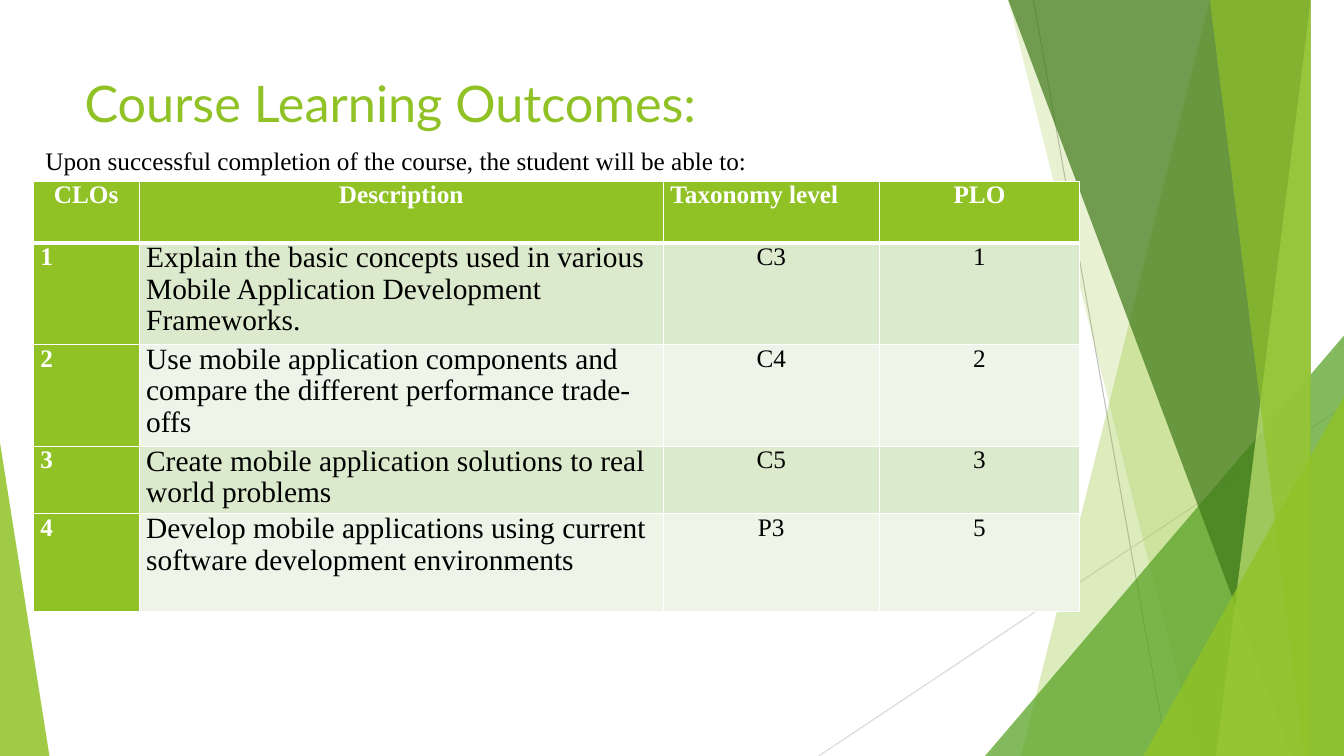
from lxml import etree
from pptx import Presentation, util as u
from pptx.dml.color import RGBColor
from pptx.enum import shapes, text
from pptx.oxml import ns

GREEN, WHITE, BLACK = "90C226", "FFFFFF", "000000"
SERIF = "Times New Roman"
ROWS = [
    ("CLOs", "Description", "Taxonomy level", "PLO"),
    ("1", "Explain the basic concepts used in various Mobile Application "
          "Development Frameworks.", "C3", "1"),
    ("2", "Use mobile application components and compare the different "
          "performance trade-offs", "C4", "2"),
    ("3", "Create mobile application solutions to real world problems", "C5", "3"),
    ("4", "Develop mobile applications using current software development "
          "environments", "P3", "5"),
]


def rgb(code):
    """Turn a hex string into a colour."""
    return RGBColor.from_string(code)


def paint(shape, color, alpha):
    """Give a shape a see-through fill with no line or shadow."""
    shape.shadow.inherit = False
    shape.fill.solid()
    shape.fill.fore_color.rgb = rgb(color)
    shape.line.fill.background()
    node = shape.fill._xPr.find(".//" + ns.qn("a:srgbClr"))
    etree.SubElement(node, ns.qn("a:alpha"), val=str(alpha * 1000))


def style(para, font, size, color, bold=False):
    """Set the font of a paragraph."""
    para.font.name = font
    para.font.size = u.Pt(size)
    para.font.color.rgb = rgb(color)
    para.font.bold = bold


def ray(slide, start, end, color):
    """Draw a thin background line."""
    line = slide.shapes.add_connector(
        shapes.MSO_CONNECTOR.STRAIGHT, *[u.Inches(n) for n in start + end])
    line.line.color.rgb = rgb(color)
    line.line.width = u.Pt(0.75)
    etree.SubElement(line._element.spPr, ns.qn("a:effectLst"))


def shard(slide, box, top, foot, color, alpha):
    """Draw a band from two left corners to the right side of a box."""
    left, head, wide, high = box
    right, base = left + wide, head + high
    form = slide.shapes.build_freeform(top, head, scale=u.Inches(1))
    form.add_line_segments([(right, head), (right, base), (foot, base)])
    paint(form.convert_to_shape(), color, alpha)


def wedge(slide, box, apex, color, alpha):
    """Draw a triangle whose apex sits at a share of its width."""
    shape = slide.shapes.add_shape(
        shapes.MSO_SHAPE.ISOSCELES_TRIANGLE, *[u.Inches(n) for n in box])
    shape.adjustments[0] = apex
    paint(shape, color, alpha)


def decor(slide, box):
    """Layer the green facets at the sides of the box."""
    left, top, wide, high = box
    right, base = left + wide, top + high
    band = (left, top - 0.01, wide, high + 0.01)
    ray(slide, (right - 3.08, top), (right - 1.75, base), "BFBFBF")
    ray(slide, (right, top + 4.03), (right - 5.21, base), "D9D9D9")
    shard(slide, band, right - 1.05, right - 3.29, GREEN, 30)
    shard(slide, band, right - 2.83, right - 1.5, GREEN, 20)
    wedge(slide, (right - 3.56, base - 4.17, 3.56, 4.17), 1, "54A021", 72)
    shard(slide, band, right - 3.12, right - 0.42, "3F7819", 70)
    shard(slide, band, right - 0.3, right - 1.41, "C0E474", 70)
    shard(slide, band, right - 1.37, right - 0.15, GREEN, 65)
    wedge(slide, (right - 1.99, base - 3.57, 1.99, 3.57), 1, GREEN, 80)
    wedge(slide, (left, base - 3.11, 0.49, 3.11), 0, GREEN, 85)


def label(slide, box, words, font, size, color, inset=0.1):
    """Place one line of text in a box."""
    frame = slide.shapes.add_textbox(*[u.Inches(n) for n in box]).text_frame
    frame.word_wrap = True
    frame.margin_left = u.Inches(inset)
    para = frame.paragraphs[0]
    para.text = words
    style(para, font, size, color)


def edge(cell, tag, width):
    """Add a white border on one side of a cell."""
    line = etree.SubElement(cell._tc.get_or_add_tcPr(), ns.qn("a:" + tag),
                            w=str(u.Pt(width)))
    fill = etree.SubElement(line, ns.qn("a:solidFill"))
    etree.SubElement(fill, ns.qn("a:srgbClr"), val=WHITE)


def entry(cell, words, row, col):
    """Fill and style a cell by its place in the grid."""
    key = row == 0 or col == 0
    prose = row > 0 and col == 1
    edge(cell, "lnL", 1)
    edge(cell, "lnR", 1)
    edge(cell, "lnT", 3 if row == 1 else 1)
    edge(cell, "lnB", 3 if row == 0 else 1)
    cell.fill.solid()
    cell.fill.fore_color.rgb = rgb(
        GREEN if key else "DBE9CD" if row % 2 else "EEF4E8")
    cell.margin_left = cell.margin_right = u.Inches(0.07)
    cell.margin_top = cell.margin_bottom = 0
    para = cell.text_frame.paragraphs[0]
    para.text = words
    style(para, SERIF, 21 if prose else 18, WHITE if key else BLACK, key)
    if prose:
        para.line_spacing = 0.96
    flush = (row == 0 and col == 2) or (row > 0 and col < 2)
    para.alignment = text.PP_ALIGN.LEFT if flush else text.PP_ALIGN.CENTER


def grid(slide, box):
    """Build the table of outcomes in a box."""
    table = slide.shapes.add_table(
        len(ROWS), len(ROWS[0]), *[u.Inches(n) for n in box]).table
    for col, wide in zip(table.columns, (1.05, 5.2, 2.14, 1.99)):
        col.width = u.Inches(wide)
    for row, high in zip(table.rows, (0.61, 0.97, 0.97, 0.65, 0.97)):
        row.height = u.Inches(high)
    for r, row in enumerate(ROWS):
        for c, words in enumerate(row):
            entry(table.cell(r, c), words, r, c)


def main():
    """Build and save the slide."""
    deck = Presentation()
    deck.slide_width, deck.slide_height = u.Inches(13.33), u.Inches(7.5)
    slide = deck.slides.add_slide(deck.slide_layouts[6])
    decor(slide, (0, 0, 13.33, 7.5))
    label(slide, (0.74, 0.67, 9.4, 1.44), "Course Learning Outcomes:",
          "Lato", 36, GREEN)
    grid(slide, (0.33, 1.8, 10.38, 4.17))
    label(slide, (-0.14, 1.39, 9.49, 0.4),
          "Upon successful completion of the course, the student will be able to:",
          SERIF, 18, BLACK, 0.59)
    deck.save("out.pptx")


if __name__ == "__main__":
    main()
